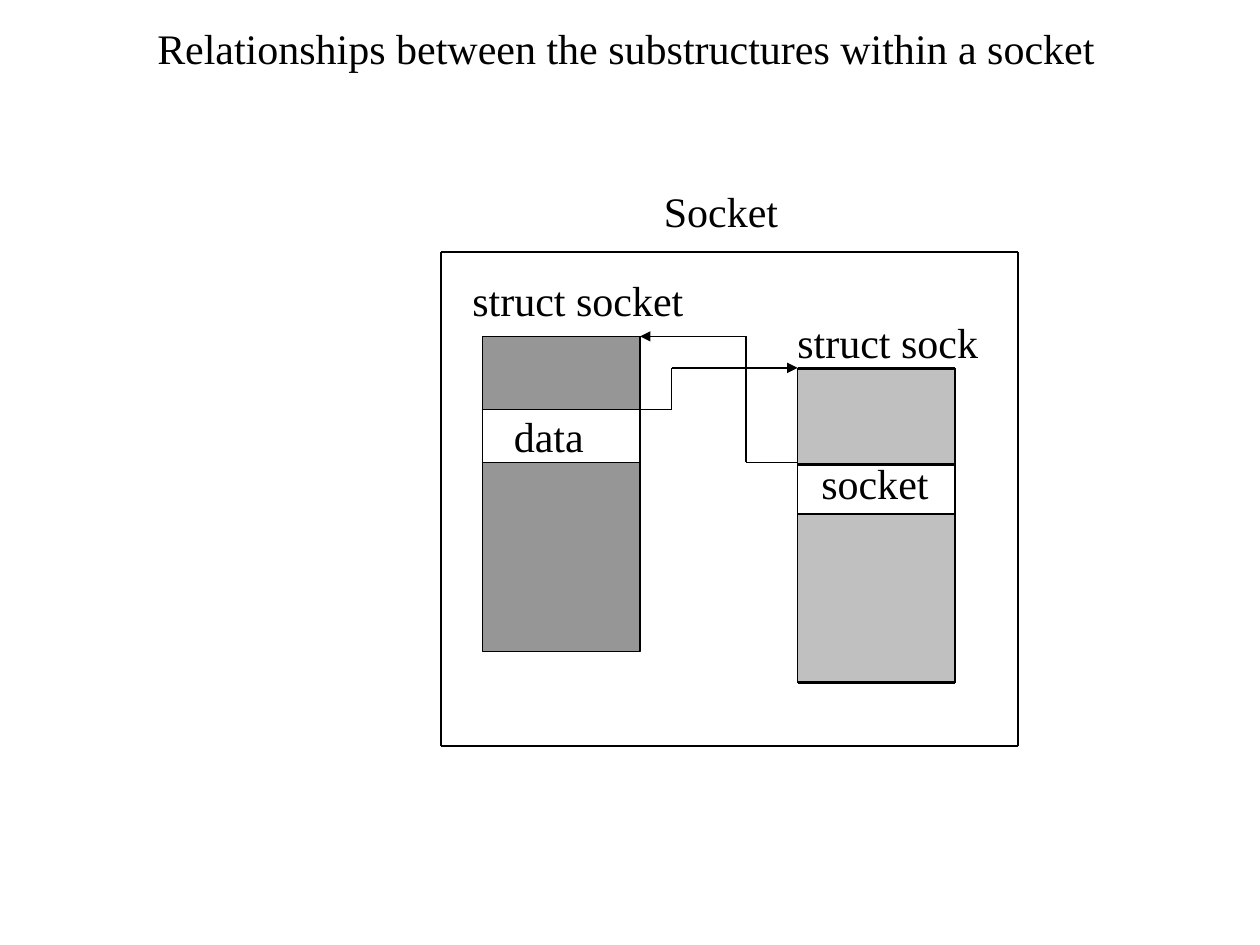
from itertools import pairwise

from lxml.etree import SubElement
from pptx import Presentation
from pptx.dml.color import RGBColor
from pptx.enum.shapes import MSO_CONNECTOR, MSO_SHAPE
from pptx.enum.text import MSO_AUTO_SIZE
from pptx.oxml.ns import qn
from pptx.util import Inches, Pt

COLORS = {"ink": "000000", "socket": "969696", "sock": "C0C0C0"}
FONT = {"name": "Times New Roman", "size": Pt(24)}
LINE_WIDTH = Pt(0.75)

# Text, left, top, width (each wide enough for a single line)
LABELS = [
    ("Relationships between the substructures within a socket", 1.15, 0.13, 7.7),
    ("Socket", 5.17, 1.42, 1.15),
    ("struct socket", 3.65, 2.13, 1.95),
    ("struct sock", 6.23, 2.46, 1.7),
    ("data", 3.98, 3.21, 0.82),
    ("socket", 6.42, 3.58, 1.1),
]
LABEL_HEIGHT = 0.5

# Left, top, right, bottom
FRAME = (3.5, 2, 8.08, 5.92)

# Each structure: outline, field dividers, filled bands as (top, bottom)
STRUCTS = [
    {"color": "socket", "outline": (3.83, 2.67, 5.08, 5.17),
     "dividers": (3.25, 3.7), "bands": [(3.67, 5.17), (2.67, 3.25)]},
    {"color": "sock", "outline": (6.33, 2.92, 7.58, 5.42),
     "dividers": (3.69, 4.08), "bands": [(2.93, 3.68), (4.08, 5.41)]},
]

# Pointers run through these corners and end in an arrowhead
POINTERS = [
    [(6.33, 3.67), (5.92, 3.67), (5.92, 2.67), (5.08, 2.67)],
    [(5.08, 3.25), (5.33, 3.25), (5.33, 2.92), (6.33, 2.92)],
]


def color(name):
    return RGBColor.from_string(COLORS[name])


def add_label(page, text, left, top, width):
    box = page.shapes.add_textbox(*map(Inches, (left, top, width, LABEL_HEIGHT)))
    frame = box.text_frame
    frame.word_wrap = True
    frame.auto_size = MSO_AUTO_SIZE.NONE
    span = frame.paragraphs[0].add_run()
    span.text = text
    for key, value in FONT.items():
        setattr(span.font, key, value)
    span.font.color.rgb = color("ink")


def add_route(page, points, arrow=False):
    for start, end in pairwise(points):
        line = page.shapes.add_connector(
            MSO_CONNECTOR.STRAIGHT, *map(Inches, (*start, *end)))
        line.line.color.rgb = color("ink")
        line.line.width = LINE_WIDTH
        properties = line.line._get_or_add_ln()
        if arrow and end == points[-1]:
            SubElement(properties, qn("a:tailEnd"), type="triangle")
        SubElement(line._element.spPr, qn("a:effectLst"))


def add_outline(page, left, top, right, bottom):
    add_route(page, [(left, top), (right, top), (right, bottom),
                     (left, bottom), (left, top)])


def add_band(page, left, top, right, bottom, fill):
    band = page.shapes.add_shape(
        MSO_SHAPE.RECTANGLE, *map(Inches, (left, top, right - left, bottom - top)))
    band.shadow.inherit = False
    band.fill.solid()
    band.fill.fore_color.rgb = color(fill)
    band.line.color.rgb = color("ink")
    band.line.width = LINE_WIDTH


def main():
    deck = Presentation()
    deck.slide_width, deck.slide_height = Inches(10), Inches(7.5)
    page = deck.slides.add_slide(deck.slide_layouts[6])

    # Frame and the two structures
    add_outline(page, *FRAME)
    for struct in STRUCTS:
        left, top, right, bottom = struct["outline"]
        add_outline(page, left, top, right, bottom)
        for y in struct["dividers"]:
            add_route(page, [(left, y), (right, y)])
        for band_top, band_bottom in struct["bands"]:
            add_band(page, left, band_top, right, band_bottom, struct["color"])

    # Pointers between the structures
    for points in POINTERS:
        add_route(page, points, arrow=True)

    # Title and captions, in front of the bands
    for label in LABELS:
        add_label(page, *label)

    deck.save("out.pptx")


if __name__ == "__main__":
    main()
